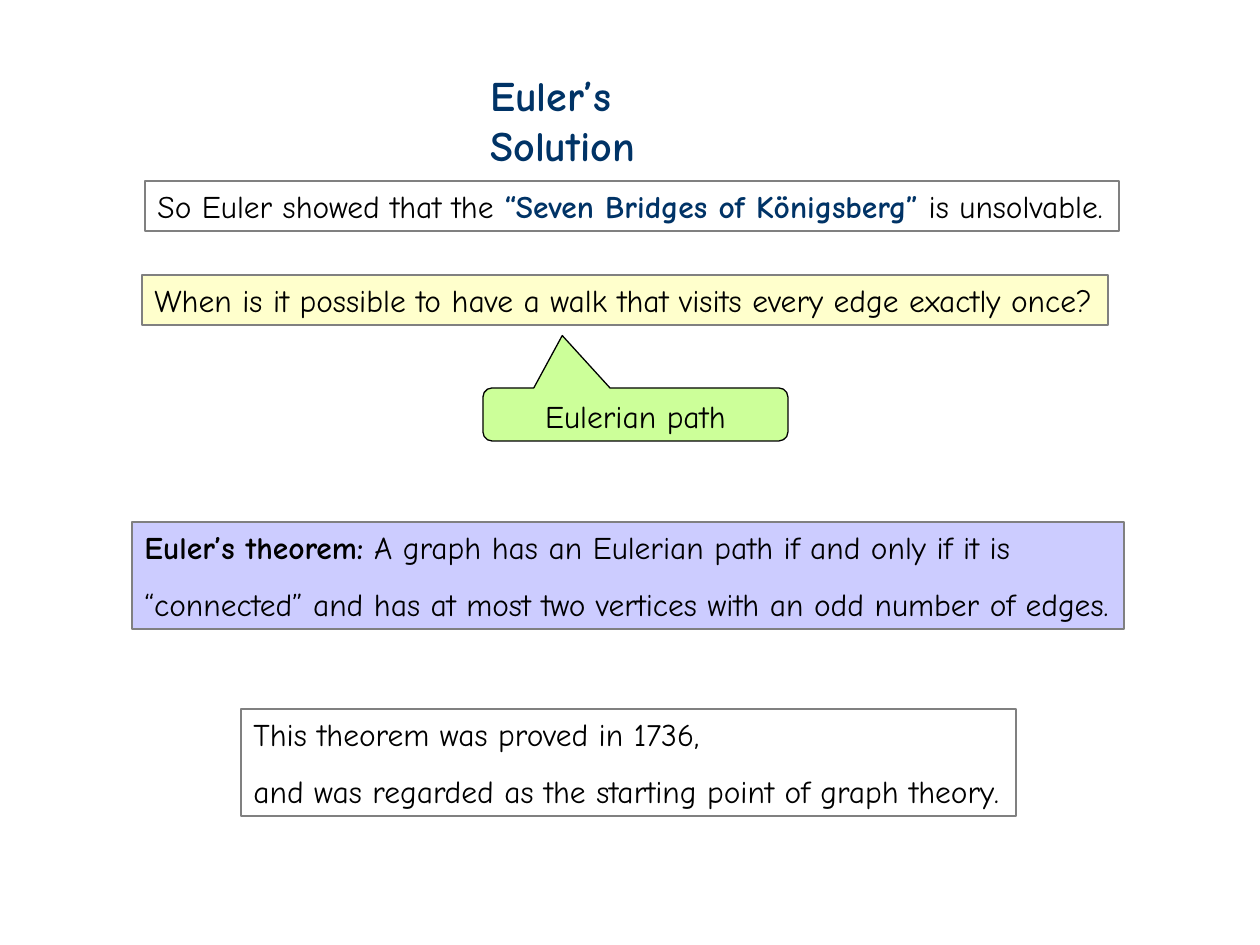
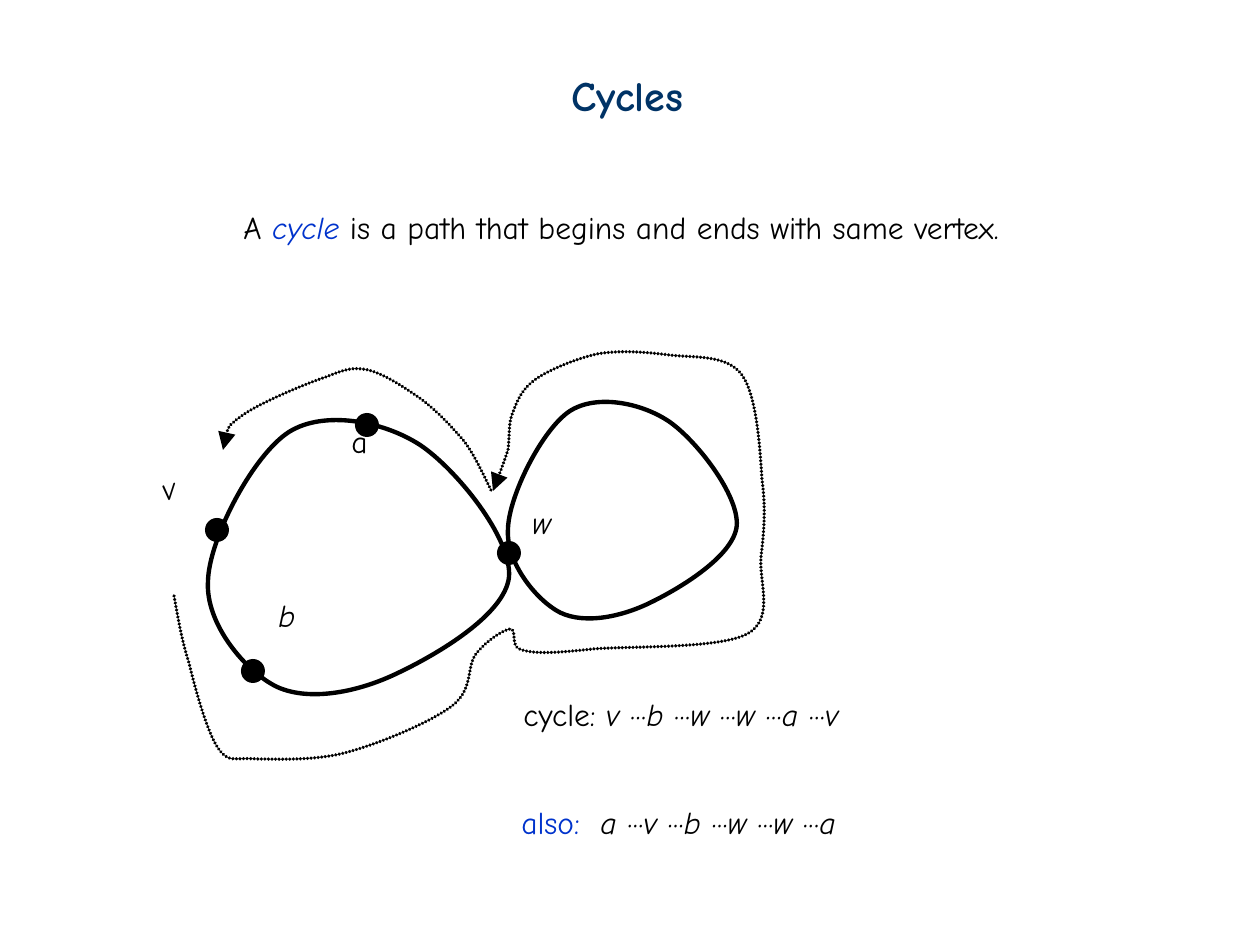
import pptx
import pptx.util
import pptx.dml.color
import pptx.enum.shapes
import pptx.enum.text
import pptx.oxml.ns
from lxml import etree

PX = 914400 / 126
FONT = "Comic Neue"
COLORS = {
    "ink": "000000", "navy": "003366", "blue": "0033CC", "gray": "808080",
    "yellow": "FFFFCC", "green": "CCFF99", "lilac": "CCCCFF",
}
KINDS = pptx.enum.shapes.MSO_SHAPE
BOLD, ITALIC = {"bold": True}, {"italic": True}


def walk(letters):
    """Spans for a walk: italic vertices joined by dots."""
    spans = []
    for letter in letters[:-1]:
        spans += [(letter + " ", ITALIC), ("···", {})]
    return spans + [(letters[-1], ITALIC)]


# Content: each box has its place (left, top, width, height) and its paragraphs,
# each paragraph being a list of (text, style) spans
TITLES = [("Euler’s Solution", (478, 63, 305, 63)), ("Cycles", (559, 63, 137, 63))]

STATEMENTS = [
    ((145, 181, 974, 50), None, [[
        ("So Euler showed that the ", {}),
        ("“Seven Bridges of Königsberg”", {"bold": True, "color": "navy"}),
        (" is unsolvable.", {})]]),
    ((142, 275, 966, 50), "yellow", [[
        ("When is it possible to have a walk that visits every edge exactly once?", {})]]),
    ((132, 522, 992, 107), "lilac", [
        [("Euler’s theorem:", BOLD),
         (" A graph has an Eulerian path if and only if it is", {})],
        [("“connected” and has at most two vertices with an odd number of edges.", {})]]),
    ((241, 709, 775, 107), None, [
        [("This theorem was proved in 1736,", {})],
        [("and was regarded as the starting point of graph theory.", {})]]),
]
CALLOUT = ("Eulerian path", (483, 388, 305, 53), (-0.24, -1.49, 0.17))

NOTES = [
    ((231, 202, 793, 50), [
        ("A ", {}), ("cycle", {"italic": True, "color": "blue"}),
        (" is a path that begins and ends with same vertex.", {})]),
    ((511, 689, 340, 50), [("cycle: ", {})] + walk("vbwwav")),
    ((509, 797, 340, 50), [("also:\t", {"color": "blue"})] + walk("avbwwa")),
]
ALSO_TAB = 79

LABELS = [  # letter, place, style, turn
    ("w", (520, 497, 44, 50), ITALIC, 0),
    ("v", (149, 463, 38, 50), ITALIC, -13.6),
    ("a", (339, 416, 42, 50), {}, 0),
    ("b", (266, 590, 42, 50), ITALIC, 0),
]
VERTICES = [(497, 541), (205, 518), (355, 413), (241, 659)]
VERTEX_SIZE = 24

# Bezier points: a start, then two controls and an end for each piece
LOOP = [
    (0, 0), (1, -42), (45, -126), (81, -149), (116, -171), (175, -160), (212, -136),
    (248, -112), (304, -43), (301, -4), (297, 34), (228, 74), (190, 92),
    (151, 111), (102, 121), (69, 106), (38, 91), (-3, 43), (0, 0),
]
LOOP_PLACES = [(208, 581, 1, 1), (508, 529, 0.76, 0.79)]  # left, middle, x and y scale
TRAILS = [
    [(491, 490), (483, 474), (475, 456), (464, 441), (451, 426), (437, 411), (421, 399),
     (404, 387), (384, 374), (368, 370), (353, 367), (346, 369), (326, 377),
     (305, 384), (260, 403), (243, 415), (226, 427), (224, 438), (223, 450)],
    [(174, 596), (178, 617), (181, 638), (189, 663), (195, 688), (207, 732), (218, 748),
     (229, 764), (234, 757), (257, 759), (278, 759), (316, 761), (348, 752),
     (381, 743), (431, 722), (452, 706), (474, 689), (466, 667), (476, 654),
     (486, 641), (503, 630), (510, 629), (518, 629), (509, 648), (522, 650),
     (536, 654), (556, 653), (593, 649), (630, 646), (719, 649), (747, 634),
     (775, 619), (759, 583), (761, 557), (764, 532), (766, 509), (762, 479),
     (760, 449), (757, 396), (742, 375), (727, 354), (693, 358), (669, 355),
     (645, 352), (620, 350), (597, 354), (575, 359), (549, 370), (536, 379),
     (522, 389), (518, 399), (513, 412), (508, 423), (510, 436), (508, 450),
     (504, 462), (498, 478), (493, 491)],
]


def emu(px):
    return pptx.util.Emu(round(px * PX))


def rgb(name):
    return pptx.dml.color.RGBColor.from_string(COLORS[name])


def add_element(parent, tag, **attributes):
    return etree.SubElement(parent, pptx.oxml.ns.qn(tag), **attributes)


def paint(shape, fill=None, line=None, width=None):
    shape.shadow.inherit = False
    if fill:
        shape.fill.solid()
        shape.fill.fore_color.rgb = rgb(fill)
    else:
        shape.fill.background()
    if line:
        shape.line.color.rgb = rgb(line)
        if width:
            shape.line.width = pptx.util.Pt(width)
    else:
        shape.line.fill.background()


def add_shape(page, kind, place, **look):
    shape = page.shapes.add_shape(kind, *map(emu, place))
    paint(shape, **look)
    return shape


def add_text_box(page, place):
    return page.shapes.add_textbox(*map(emu, place))


def write(box, paragraphs, size=18, centered=False, wrap=False, tab=None):
    """Fill a box with paragraphs; lines after the first are spaced 1.5."""
    frame = box.text_frame
    frame.word_wrap = wrap
    if not wrap:
        frame.auto_size = pptx.enum.text.MSO_AUTO_SIZE.SHAPE_TO_FIT_TEXT
    frame.vertical_anchor = pptx.enum.text.MSO_ANCHOR.TOP
    align = pptx.enum.text.PP_ALIGN
    for index, spans in enumerate(paragraphs):
        para = frame.add_paragraph() if index else frame.paragraphs[0]
        para.alignment = align.CENTER if centered else align.LEFT
        if index:
            para.line_spacing = 1.5
        if tab:
            stops = add_element(para._p.get_or_add_pPr(), "a:tabLst")
            add_element(stops, "a:tab", pos=str(emu(tab)), algn="l")
        for text, style in spans:
            span = para.add_run()
            span.text = text
            span.font.name = FONT
            span.font.size = pptx.util.Pt(size)
            span.font.bold = style.get("bold", False)
            span.font.italic = style.get("italic", False)
            span.font.color.rgb = rgb(style.get("color", "ink"))


def add_curve(page, points, width, closed=False):
    """Outline through Bezier points: each three line segments become one curve."""
    start, *rest = [(emu(x), emu(y)) for x, y in points]
    builder = page.shapes.build_freeform(*start, scale=1.0)
    builder.add_line_segments(rest, close=closed)
    curve = builder.convert_to_shape()
    segments = list(curve._element.iter(pptx.oxml.ns.qn("a:lnTo")))
    for i in range(0, len(segments), 3):
        piece = etree.Element(pptx.oxml.ns.qn("a:cubicBezTo"))
        segments[i].addprevious(piece)
        for segment in segments[i:i + 3]:
            piece.append(segment[0])
            segment.getparent().remove(segment)
    paint(curve, line="ink", width=width)
    return curve


def make_dotted_arrow(curve):
    outline = curve.line._get_or_add_ln()
    outline.set("cap", "rnd")
    dashes = add_element(outline, "a:custDash")
    add_element(dashes, "a:ds", d="1000", sp="100000")
    add_element(outline, "a:tailEnd", type="triangle", w="lg", len="lg")


def add_page(deck, title, place):
    page = deck.slides.add_slide(deck.slide_layouts[6])
    write(add_text_box(page, place), [[(title, {"bold": True, "color": "navy"})]], size=24)
    return page


def build_solution(page):
    for place, fill, paragraphs in STATEMENTS:
        write(add_shape(page, KINDS.RECTANGLE, place, fill=fill, line="gray", width=0.75),
              paragraphs)
    text, place, adjustments = CALLOUT
    callout = add_shape(page, KINDS.ROUNDED_RECTANGULAR_CALLOUT, place,
                        fill="green", line="ink", width=0.75)
    for index, value in enumerate(adjustments):
        callout.adjustments[index] = value
    write(callout, [[(text, {})]], centered=True, wrap=True)


def build_cycles(page):
    # Graph
    for left, middle, x_scale, y_scale in LOOP_PLACES:
        points = [(left + x * x_scale, middle + y * y_scale) for x, y in LOOP]
        add_curve(page, points, width=2.5, closed=True)
    for left, top in VERTICES:
        add_shape(page, KINDS.OVAL, (left, top, VERTEX_SIZE, VERTEX_SIZE), fill="ink")
    for letter, place, style, turn in LABELS:
        label = add_text_box(page, place)
        label.rotation = turn
        write(label, [[(letter, style)]])

    # Dotted trails around it
    for points in TRAILS:
        make_dotted_arrow(add_curve(page, points, width=2))

    # Definition and walks
    for place, spans in NOTES:
        has_tab = any("\t" in text for text, _ in spans)
        write(add_text_box(page, place), [spans], tab=ALSO_TAB if has_tab else None)


def main():
    deck = pptx.Presentation()
    deck.slide_width, deck.slide_height = emu(1260), emu(945)
    for (title, place), build in zip(TITLES, (build_solution, build_cycles)):
        build(add_page(deck, title, place))
    deck.save("out.pptx")


if __name__ == "__main__":
    main()
